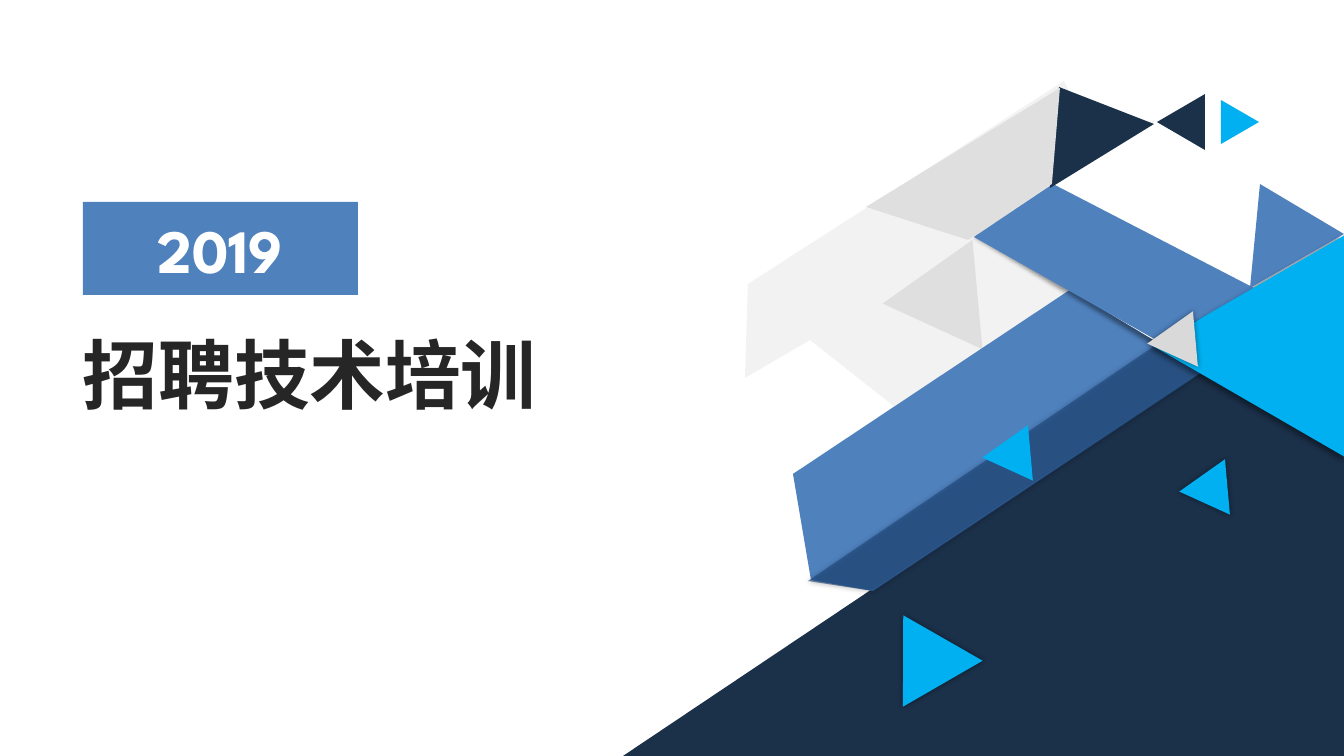
from lxml import etree
from pptx import Presentation
from pptx.dml.color import RGBColor
from pptx.enum.shapes import MSO_SHAPE
from pptx.enum.text import MSO_ANCHOR, MSO_AUTO_SIZE, PP_ALIGN
from pptx.oxml.ns import qn
from pptx.util import Pt

PX = 914400 / 100.8
TRIANGLE, RIGHT_TRIANGLE = MSO_SHAPE.ISOSCELES_TRIANGLE, MSO_SHAPE.RIGHT_TRIANGLE
RECTANGLE = MSO_SHAPE.RECTANGLE
MIDDLE, CENTER, GROW = MSO_ANCHOR.MIDDLE, PP_ALIGN.CENTER, MSO_AUTO_SIZE.SHAPE_TO_FIT_TEXT

WHITE = RGBColor(0xFF, 0xFF, 0xFF)
PALE = RGBColor(0xF2, 0xF2, 0xF2)
SILVER = RGBColor(0xDF, 0xDF, 0xDF)
GREY = RGBColor(0xD9, 0xD9, 0xD9)
NAVY = RGBColor(0x1B, 0x30, 0x49)
DEEP = RGBColor(0x1F, 0x49, 0x7D)
BLUE = RGBColor(0x4F, 0x81, 0xBD)
CYAN = RGBColor(0x00, 0xB0, 0xF0)
INK = RGBColor(0x26, 0x26, 0x26)
FONT = "League Spartan"

# Shadows: blur and distance in points, direction in degrees
GLOW = (4, 0, 50)
CAST = (4, 3, 135)
SOFT_CAST = (3, 3, 135)


def emu(*lengths):
    return [round(length * PX) for length in lengths]


def paint(shape, color, opacity=100, shadow=None):
    shape.shadow.inherit = False
    shape.line.fill.background()
    shape.fill.solid()
    shape.fill.fore_color.rgb = color
    properties = shape.element.spPr
    if opacity < 100:
        tint = properties.find(qn("a:solidFill"))[0]
        etree.SubElement(tint, qn("a:alpha"), val=str(opacity * 1000))
    if shadow:
        blur, distance, direction = shadow
        effects = properties.find(qn("a:effectLst"))
        outer = etree.SubElement(
            effects, qn("a:outerShdw"), blurRad=str(Pt(blur)), dist=str(Pt(distance)),
            dir=str(direction * 60000), algn="ctr", rotWithShape="0")
        black = etree.SubElement(outer, qn("a:srgbClr"), val="000000")
        etree.SubElement(black, qn("a:alpha"), val="40000")


deck = Presentation()
deck.slide_width, deck.slide_height = emu(1344, 756)
page = deck.slides.add_slide(deck.slide_layouts[6])
shapes = page.shapes

# Artwork from back to front: a triangle is (left, top, width, height, rotation),
# a polygon is a list of corners; then color, opacity, shadow
artwork = [
    ([(904, 414), (810, 340), (745, 378), (748, 284), (1064, 81), (1149, 251)], PALE, 100, None),
    ((900, 263, 110, 95, 144.7), GREY, 73, None),
    ("corner", NAVY, 100, None),
    ((877, 610, 92, 79, 330), CYAN, 100, GLOW),
    ((1188, 471, 56, 48, 144.7), CYAN, 100, GLOW),
    ([(873, 591), (811, 580), (793, 474), (1187, 212), (1236, 349)], BLUE, 100, None),
    ([(873, 591), (808, 581), (1221, 301), (1236, 350)], DEEP, 66, GLOW),
    ((991, 437, 56, 48, 144.7), CYAN, 100, None),
    ([(978, 234), (1157, 120), (1342, 235), (1157, 342)], WHITE, 100, SOFT_CAST),
    ([(1158, 341), (974, 237), (1053, 184), (1256, 289)], BLUE, 100, None),
    ([(1250, 288), (1260, 184), (1344, 234)], BLUE, 100, None),
    ((1138, 250, 222, 192, 270), CYAN, 100, CAST),
    ((1156, 323, 56, 48, 144.7), GREY, 100, GLOW),
    ((1153, 98, 56, 48, 270), NAVY, 100, None),
    ((1218, 103, 44, 38, 90), CYAN, 100, None),
    ([(1050, 188), (1059, 87), (1154, 124)], NAVY, 100, None),
    ([(1060, 88), (1052, 184), (968, 240), (866, 207)], SILVER, 100, None),
]
for outline, color, opacity, shadow in artwork:
    if outline == "corner":
        shape = shapes.add_shape(RIGHT_TRIANGLE, *emu(623, 273, 721, 483))
        shape.element.spPr.find(qn("a:xfrm")).set("flipH", "1")
    elif isinstance(outline, list):
        builder = shapes.build_freeform(*outline[0], scale=PX)
        builder.add_line_segments(outline[1:], close=True)
        shape = builder.convert_to_shape()
    else:
        *frame, rotation = outline
        shape = shapes.add_shape(TRIANGLE, *emu(*frame))
        shape.rotation = rotation
    paint(shape, color, opacity, shadow)

# Year label and title
year = shapes.add_shape(RECTANGLE, *emu(83, 202, 275, 93))
paint(year, BLUE)
year.text_frame.vertical_anchor = MIDDLE
title = shapes.add_textbox(*emu(73, 323, 652, 102))
title.text_frame.word_wrap = True
title.text_frame.auto_size = GROW

for box, text, size, color in [(year, "2019", 44, WHITE), (title, "招聘技术培训", 54, INK)]:
    para = box.text_frame.paragraphs[0]
    para.text = text
    para.font.name = FONT
    para.font.size = Pt(size)
    para.font.bold = True
    para.font.color.rgb = color
year.text_frame.paragraphs[0].alignment = CENTER

deck.save("out.pptx")
